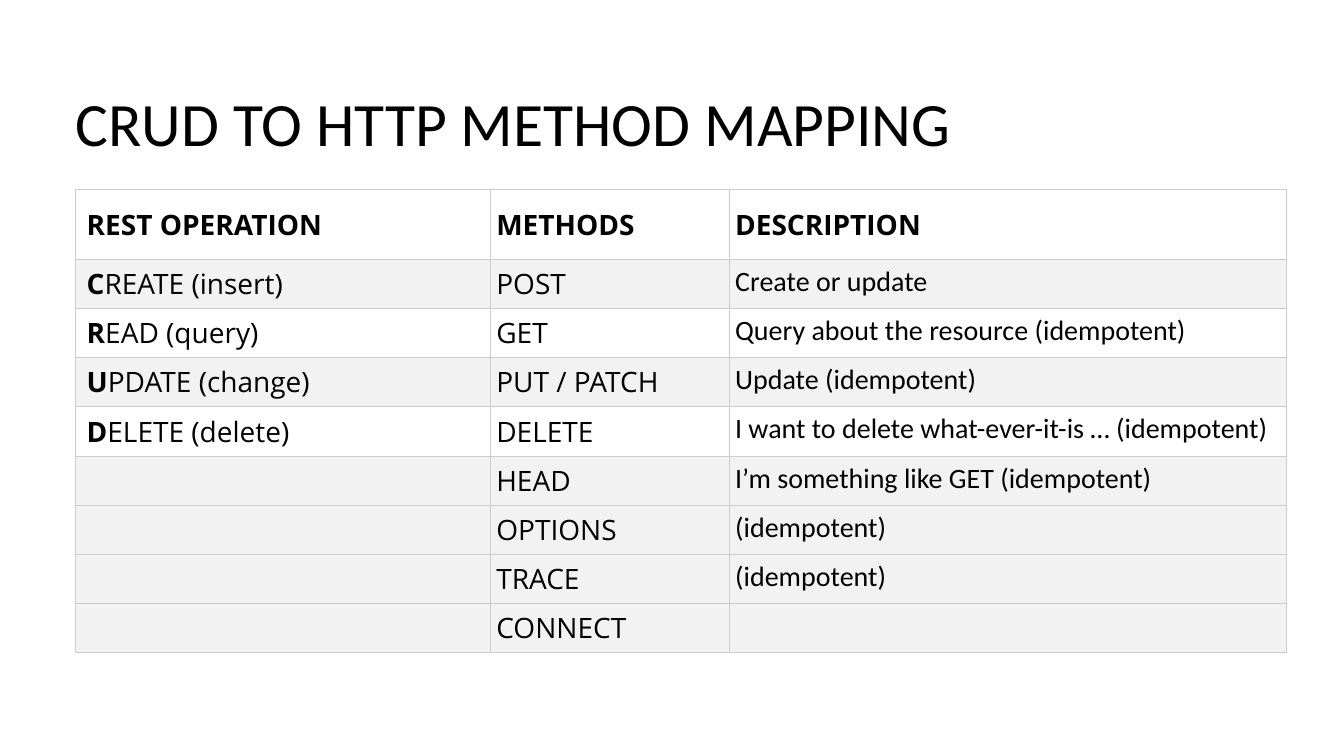
import pptx
import pptx.dml.color
import pptx.enum.text
import pptx.oxml
import pptx.oxml.ns
import pptx.util

RGB = pptx.dml.color.RGBColor
BLACK = RGB(0x00, 0x00, 0x00)
WHITE = RGB(0xFF, 0xFF, 0xFF)
PALE = RGB(0xF2, 0xF2, 0xF2)
RULE = RGB(0xCC, 0xCC, 0xCC)

SCALE = 914400 // 200  # EMU in one px, at 200 px to the inch
HEAD_FONT, BODY_FONT = "Open Sans", "Calibri"
COLS = (824, 474, 1104)
HEAD_H, ROW_H = 138, 84
PAD, LEFT_PAD = 11, 22

HEADS = ("REST OPERATION", "METHODS", "DESCRIPTION")
ROWS = (
    ("CREATE (insert)", "POST", "Create or update"),
    ("READ (query)", "GET", "Query about the resource (idempotent)"),
    ("UPDATE (change)", "PUT / PATCH", "Update (idempotent)"),
    ("DELETE (delete)", "DELETE",
     "I want to delete what-ever-it-is … (idempotent)"),
    ("", "HEAD", "I’m something like GET (idempotent)"),
    ("", "OPTIONS", "(idempotent)"),
    ("", "TRACE", "(idempotent)"),
    ("", "CONNECT", ""),
)


def px(n):
    return pptx.util.Emu(n * SCALE)


def add_run(para, text, size, name, bold=False):
    run = para.add_run()
    run.text = text
    font = run.font
    font.size = pptx.util.Pt(size)
    font.name = name
    font.bold = bold
    font.color.rgb = BLACK


def add_title(slide, text):
    title = slide.shapes.title
    title.left, title.top = px(150), px(0)
    title.width, title.height = px(2366), px(376)
    frame = title.text_frame
    frame.word_wrap = True
    frame.auto_size = pptx.enum.text.MSO_AUTO_SIZE.NONE
    frame.vertical_anchor = pptx.enum.text.MSO_ANCHOR.TOP
    frame.margin_left, frame.margin_right = px(0), px(20)
    frame.margin_top = frame.margin_bottom = px(10)
    para = frame.paragraphs[0]
    para.alignment = pptx.enum.text.PP_ALIGN.LEFT
    para.line_spacing = pptx.util.Pt(110)
    add_run(para, text, 44, BODY_FONT)


def add_edges(cell):
    props = cell._tc.get_or_add_tcPr()
    for side in "LRTB":
        props.append(pptx.oxml.parse_xml(
            f'<a:ln{side} {pptx.oxml.ns.nsdecls("a")} w="{pptx.util.Pt(0.6)}">'
            f'<a:solidFill><a:srgbClr val="{RULE}"/></a:solidFill>'
            f'</a:ln{side}>'))


def style_cell(cell, fill, first, anchor):
    add_edges(cell)
    cell.fill.solid()
    cell.fill.fore_color.rgb = fill
    cell.vertical_anchor = anchor
    cell.margin_left = px(LEFT_PAD if first else PAD)
    cell.margin_right = cell.margin_top = cell.margin_bottom = px(PAD)


def fill_cell(cell, text, row, col):
    para = cell.text_frame.paragraphs[0]
    if not text:
        return
    if row == 0:
        add_run(para, text, 20, HEAD_FONT, True)
    elif col == 0:  # the CRUD initial stands out
        add_run(para, text[0], 20, HEAD_FONT, True)
        add_run(para, text[1:], 20, HEAD_FONT)
    else:
        add_run(para, text, 20, HEAD_FONT if col == 1 else BODY_FONT)


def add_grid(slide):
    lines = (HEADS,) + ROWS
    high = HEAD_H + ROW_H * len(ROWS)
    grid = slide.shapes.add_table(
        len(lines), len(COLS), px(150), px(376), px(sum(COLS)), px(high)).table
    grid.horz_banding = False
    for col, width in enumerate(COLS):
        grid.columns[col].width = px(width)
    for row, line in enumerate(lines):
        grid.rows[row].height = px(ROW_H if row else HEAD_H)
        # Bands alternate down to the first row with no CRUD operation
        fill = PALE if row % 2 or not line[0] else WHITE
        anchor = pptx.enum.text.MSO_ANCHOR
        for col, text in enumerate(line):
            cell = grid.cell(row, col)
            style_cell(cell, fill, col == 0,
                       anchor.TOP if row else anchor.MIDDLE)
            fill_cell(cell, text, row, col)


def main():
    deck = pptx.Presentation()
    deck.slide_width, deck.slide_height = px(2667), px(1500)
    slide = deck.slides.add_slide(deck.slide_layouts[5])
    # Title
    add_title(slide, "CRUD TO HTTP METHOD MAPPING")
    # Method table
    add_grid(slide)
    deck.save("out.pptx")


if __name__ == "__main__":
    main()
